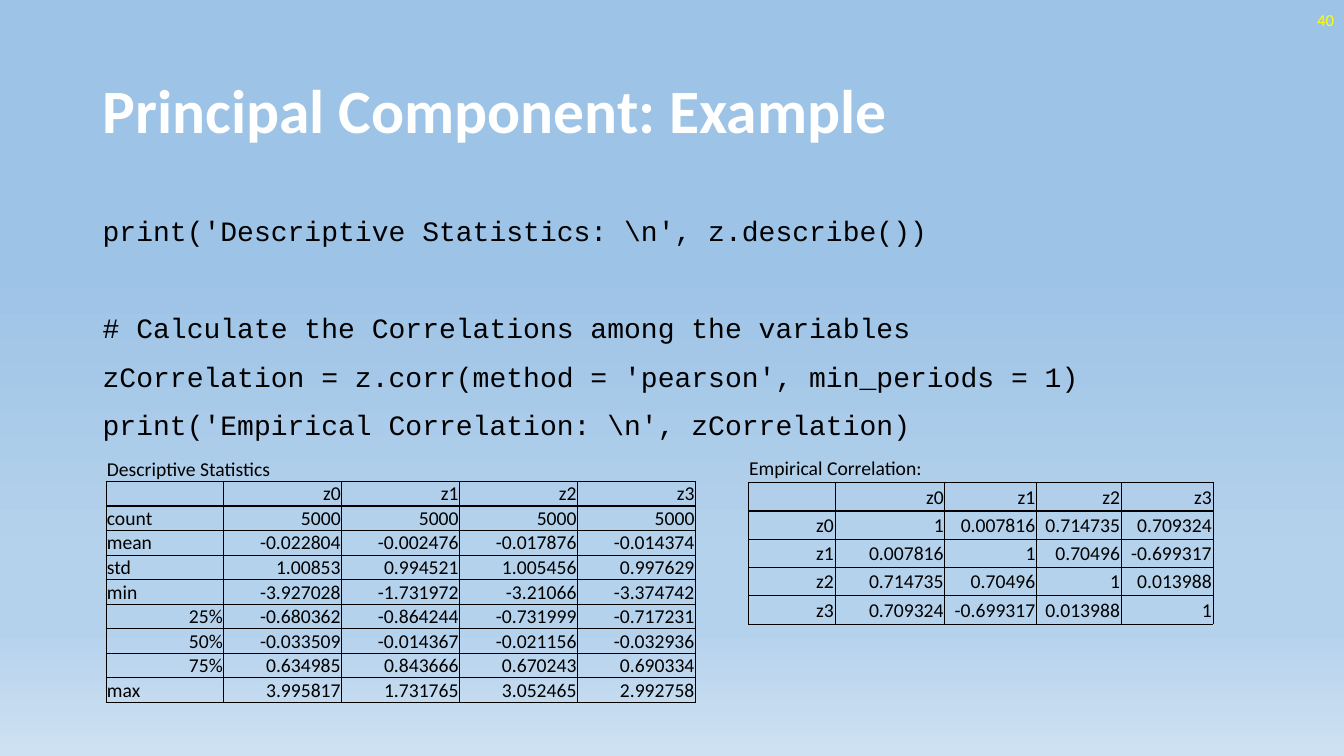
import dataclasses

import lxml.etree
import pptx
import pptx.dml.color
import pptx.enum.text
import pptx.oxml.ns
import pptx.util

Inches = pptx.util.Inches
Pt = pptx.util.Pt
RGBColor = pptx.dml.color.RGBColor
Align = pptx.enum.text.PP_ALIGN
Anchor = pptx.enum.text.MSO_ANCHOR
qn = pptx.oxml.ns.qn

WHITE = RGBColor(0xFF, 0xFF, 0xFF)
BLACK = RGBColor(0, 0, 0)
YELLOW = RGBColor(0xFF, 0xFF, 0)
SKY = RGBColor(0x9D, 0xC3, 0xE6)
PALE_SKY = RGBColor(0xB5, 0xD2, 0xEC)
HORIZON = RGBColor(0xCE, 0xE1, 0xF2)
BACKGROUND_STOPS = [(35, SKY), (74, PALE_SKY), (83, PALE_SKY), (100, HORIZON)]

NO_TABLE_STYLE = "{2D5ABB26-0587-4C30-8999-92F81FD0307C}"
THIN, THICK = 0.5, 2
VARIABLES = ["z0", "z1", "z2", "z3"]


@dataclasses.dataclass
class TextBlock:
    lines: list[str]
    box: tuple[float, float, float, float]
    size: float
    color: RGBColor
    font: str = "Calibri"
    bold: bool = False
    align: Align = Align.LEFT
    anchor: Anchor = Anchor.MIDDLE
    line_spacing: float = 1.0
    space_before: tuple[float, ...] = (0,)


@dataclasses.dataclass
class StatTable:
    caption: str
    left: float
    top: float
    widths: list[float]
    row_height: float
    rows: list[list[str]]


TEXT_BLOCKS = [
    TextBlock(["Principal Component: Example"], (0.92, 0.4, 11.5, 1.45), 44, WHITE,
              bold=True, line_spacing=0.9),
    TextBlock(
        [
            r"print('Descriptive Statistics: \n', z.describe())",
            "# Calculate the Correlations among the variables",
            "zCorrelation = z.corr(method = 'pearson', min_periods = 1)",
            r"print('Empirical Correlation: \n', zCorrelation)",
        ],
        (0.92, 2, 11.5, 4.76), 20, BLACK, font="Courier New", anchor=Anchor.TOP,
        line_spacing=1.2, space_before=(6, 40.5, 6, 6),
    ),
    TextBlock(["40"], (10.33, 0, 3, 0.4), 12, YELLOW, align=Align.RIGHT),
]

STAT_TABLES = [
    StatTable("Descriptive Statistics", 1.05, 4.53, [1.17] * 5, 0.24, [
        ["count", "5000", "5000", "5000", "5000"],
        ["mean", "-0.022804", "-0.002476", "-0.017876", "-0.014374"],
        ["std", "1.00853", "0.994521", "1.005456", "0.997629"],
        ["min", "-3.927028", "-1.731972", "-3.21066", "-3.374742"],
        ["25%", "-0.680362", "-0.864244", "-0.731999", "-0.717231"],
        ["50%", "-0.033509", "-0.014367", "-0.021156", "-0.032936"],
        ["75%", "0.634985", "0.843666", "0.670243", "0.690334"],
        ["max", "3.995817", "1.731765", "3.052465", "2.992758"],
    ]),
    StatTable("Empirical Correlation:", 7.42, 4.51, [0.86, 1.09, 0.91, 0.84, 0.91], 0.28, [
        ["z0", "1", "0.007816", "0.714735", "0.709324"],
        ["z1", "0.007816", "1", "0.70496", "-0.699317"],
        ["z2", "0.714735", "0.70496", "1", "0.013988"],
        ["z3", "0.709324", "-0.699317", "0.013988", "1"],
    ]),
]


def write(paragraph, text: str, *, size: float, color: RGBColor, font: str = "Calibri",
          bold: bool = False, align: Align = Align.LEFT, line_spacing: float = 1.0,
          space_before: float = 0) -> None:
    paragraph.alignment = align
    paragraph.line_spacing = line_spacing
    paragraph.space_before = Pt(space_before)
    if not text:
        end = lxml.etree.SubElement(paragraph._p, qn("a:endParaRPr"))
        end.set("sz", str(int(size * 100)))
        return
    run = paragraph.add_run()
    run.text = text
    run.font.size = Pt(size)
    run.font.name = font
    run.font.bold = bold
    run.font.color.rgb = color


def paint_background(slide) -> None:
    fill = slide.background.fill
    fill.gradient()
    fill.gradient_angle = 270
    stops = fill._fill._gradFill.find(qn("a:gsLst"))
    for stop in list(stops):
        stops.remove(stop)
    for percent, color in BACKGROUND_STOPS:
        stop = lxml.etree.SubElement(stops, qn("a:gs"), pos=str(percent * 1000))
        lxml.etree.SubElement(stop, qn("a:srgbClr"), val=str(color))


def add_text_block(slide, block: TextBlock) -> None:
    frame = slide.shapes.add_textbox(*map(Inches, block.box)).text_frame
    frame.word_wrap = True
    frame.vertical_anchor = block.anchor
    for index, (line, gap) in enumerate(zip(block.lines, block.space_before)):
        paragraph = frame.add_paragraph() if index else frame.paragraphs[0]
        write(paragraph, line, size=block.size, color=block.color, font=block.font,
              bold=block.bold, align=block.align, line_spacing=block.line_spacing,
              space_before=gap)


def set_borders(cell, left: float, right: float, top: float, bottom: float) -> None:
    """Set border widths in points; zero hides a side."""
    properties = cell._tc.get_or_add_tcPr()
    for side, width in zip("LRTB", (left, right, top, bottom)):
        line = lxml.etree.SubElement(properties, qn(f"a:ln{side}"), w=str(Pt(width)))
        if width:
            solid = lxml.etree.SubElement(line, qn("a:solidFill"))
            lxml.etree.SubElement(solid, qn("a:srgbClr"), val=str(BLACK))
        else:
            lxml.etree.SubElement(line, qn("a:noFill"))


def row_borders(row: int) -> tuple[float, float, float, float]:
    """Leave the caption open and rule heavily below the variable names."""
    if row == 0:
        return 0, 0, 0, THIN
    return THIN, THIN, THICK if row == 2 else THIN, THICK if row == 1 else THIN


def add_stat_table(slide, stats: StatTable) -> None:
    columns = len(stats.widths)
    content = [[stats.caption] + [""] * (columns - 1), [""] + VARIABLES] + stats.rows
    table = slide.shapes.add_table(
        len(content), columns, Inches(stats.left), Inches(stats.top),
        Inches(sum(stats.widths)), Inches(stats.row_height * len(content))).table
    table.first_row = table.horz_banding = False
    table._tbl.tblPr.find(qn("a:tableStyleId")).text = NO_TABLE_STYLE
    for column, width in zip(table.columns, stats.widths):
        column.width = Inches(width)
    for row, values in enumerate(content):
        table.rows[row].height = Inches(stats.row_height)
        for column, value in enumerate(values):
            cell = table.cell(row, column)
            cell.margin_left = cell.margin_right = cell.margin_top = Inches(0.01)
            cell.margin_bottom = 0
            cell.vertical_anchor = Anchor.MIDDLE
            set_borders(cell, *row_borders(row))
            cell.fill.background()
            is_word = row == 0 or value.isalpha()
            write(cell.text_frame.paragraphs[0], value, size=14, color=BLACK,
                  align=Align.LEFT if is_word else Align.RIGHT)
    table.cell(0, 0).merge(table.cell(0, columns - 1))


def main() -> None:
    deck = pptx.Presentation()
    deck.slide_width, deck.slide_height = Inches(13.33), Inches(7.5)
    slide = deck.slides.add_slide(deck.slide_layouts[6])
    paint_background(slide)
    for block in TEXT_BLOCKS:
        add_text_block(slide, block)
    for stats in STAT_TABLES:
        add_stat_table(slide, stats)
    deck.save("out.pptx")


if __name__ == "__main__":
    main()
